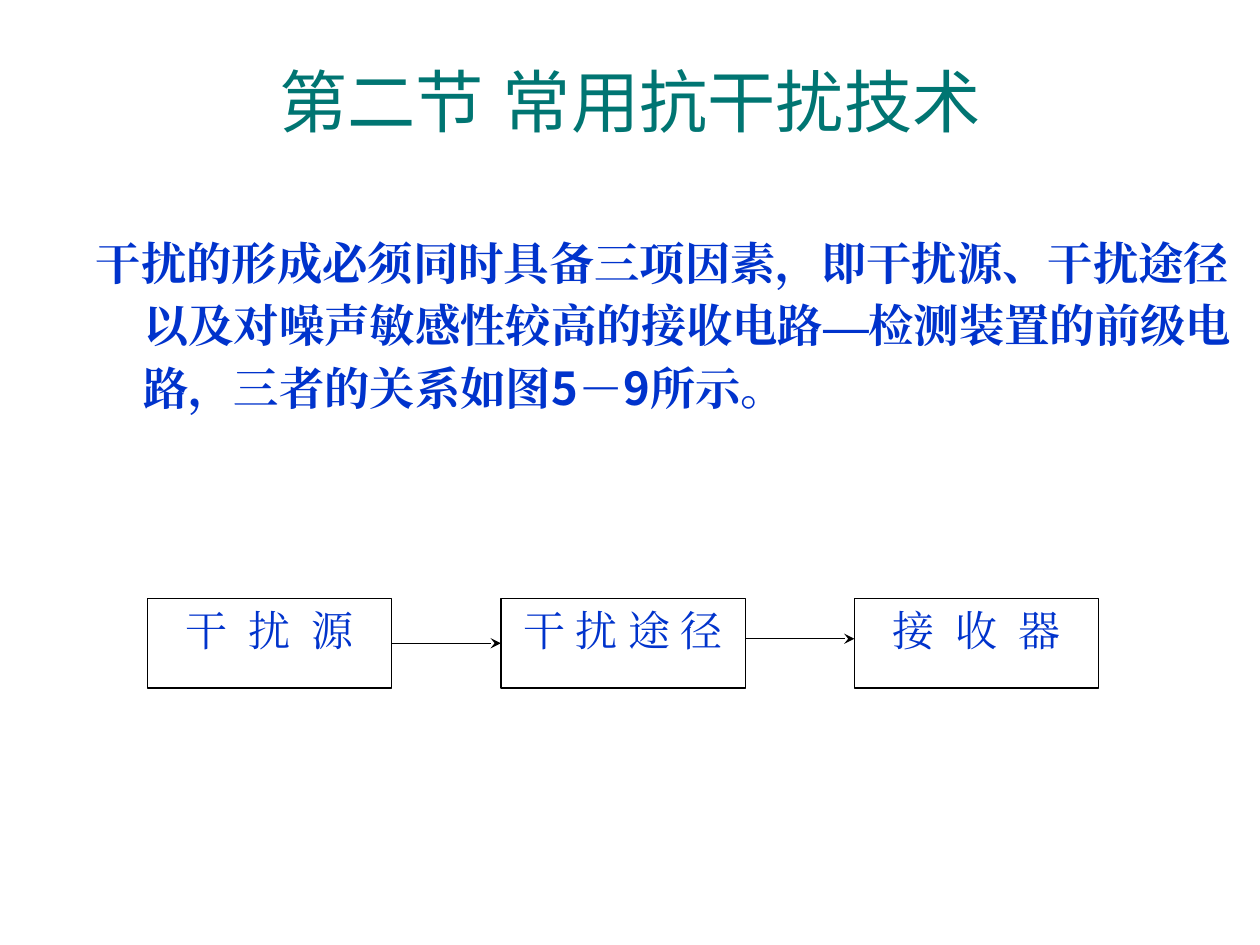
from lxml import etree
from pptx import Presentation
from pptx.dml.color import RGBColor
from pptx.enum.shapes import MSO_CONNECTOR, MSO_SHAPE
from pptx.enum.text import MSO_ANCHOR, MSO_AUTO_SIZE, PP_ALIGN
from pptx.oxml.ns import qn
from pptx.util import Pt

# Content
TITLE = "第二节 常用抗干扰技术"
BODY = ("干扰的形成必须同时具备三项因素，即干扰源、干扰途径以及对噪声敏感性较高的"
        "接收电路—检测装置的前级电路，三者的关系如图5－9所示。")
STAGES = ["干  扰  源", "干 扰 途 径", "接  收  器"]

# Style
TEAL = RGBColor(0x00, 0x75, 0x72)
BLUE = RGBColor(0x00, 0x33, 0xCC)
BLACK = RGBColor(0x00, 0x00, 0x00)
WHITE = RGBColor(0xFF, 0xFF, 0xFF)
CENTER, LEFT = PP_ALIGN.CENTER, PP_ALIGN.LEFT
TOP, MIDDLE = MSO_ANCHOR.TOP, MSO_ANCHOR.MIDDLE
NO_AUTOFIT = MSO_AUTO_SIZE.NONE
RECTANGLE, STRAIGHT = MSO_SHAPE.RECTANGLE, MSO_CONNECTOR.STRAIGHT
LEFT_SIDE, RIGHT_SIDE = 1, 3

# Flow diagram, in points
FLOW_LEFT, FLOW_TOP, FLOW_STEP = 84.24, 342, 202
BOX_WIDTH, BOX_HEIGHT = 139.68, 51.12
SECOND_ARROW_Y = 365


def place(shape, left, top, width, height):
    shape.left, shape.top = Pt(left), Pt(top)
    shape.width, shape.height = Pt(width), Pt(height)


def write(shape, text, size, color, latin, east_asian, align, anchor, bold=False):
    frame = shape.text_frame
    frame.text = text
    frame.word_wrap = True
    frame.auto_size = NO_AUTOFIT
    frame.vertical_anchor = anchor
    para = frame.paragraphs[0]
    para.alignment = align
    span = para.runs[0]
    span.font.size = Pt(size)
    span.font.bold = bold
    span.font.color.rgb = color
    span.font.name = latin
    properties = span._r.get_or_add_rPr()
    etree.SubElement(properties, qn("a:ea"), typeface=east_asian)
    return para


def add_arrow(page, start_x, end_x, y):
    arrow = page.shapes.add_connector(STRAIGHT, Pt(start_x), Pt(y), Pt(end_x), Pt(y))
    arrow.line.color.rgb = BLACK
    arrow.line.width = Pt(0.75)
    etree.SubElement(arrow.line._get_or_add_ln(), qn("a:tailEnd"), type="stealth")
    etree.SubElement(arrow._element.spPr, qn("a:effectLst"))
    return arrow


def main():
    deck = Presentation()
    deck.slide_width, deck.slide_height = Pt(720), Pt(540)
    page = deck.slides.add_slide(deck.slide_layouts[1])

    # Title
    title = page.shapes.title
    place(title, 36, 12.24, 648, 90)
    write(title, TITLE, 39, TEAL, "Arial", "Arial", CENTER, MIDDLE)

    # Body with a hanging indent and no bullet
    body = page.placeholders[1]
    place(body, 47.52, 126, 672.48, 306)
    para = write(body, BODY, 25.9, BLUE, "Noto Sans CJK SC", "Times New Roman",
                 LEFT, TOP, bold=True)
    para.line_spacing = 1.15
    para.space_before = Pt(7)
    properties = para._p.get_or_add_pPr()
    properties.set("marL", str(Pt(27)))
    properties.set("indent", str(-Pt(27)))
    etree.SubElement(properties, qn("a:buNone"))

    # Boxes of the flow
    boxes = []
    for index, stage in enumerate(STAGES):
        box = page.shapes.add_shape(RECTANGLE, Pt(FLOW_LEFT + index * FLOW_STEP),
                                    Pt(FLOW_TOP), Pt(BOX_WIDTH), Pt(BOX_HEIGHT))
        box.shadow.inherit = False
        box.fill.solid()
        box.fill.fore_color.rgb = WHITE
        box.line.color.rgb = BLACK
        box.line.width = Pt(0.75)
        write(box, stage, 24, BLUE, "Times New Roman", "Times New Roman", CENTER, TOP)
        boxes.append(box)

    # Arrows: the first joins the side middles, the second runs slightly higher
    first_start = FLOW_LEFT + BOX_WIDTH
    first_end = FLOW_LEFT + FLOW_STEP
    first = add_arrow(page, first_start, first_end, FLOW_TOP + BOX_HEIGHT / 2)
    first.begin_connect(boxes[0], RIGHT_SIDE)
    first.end_connect(boxes[1], LEFT_SIDE)
    add_arrow(page, first_start + FLOW_STEP, first_end + FLOW_STEP, SECOND_ARROW_Y)

    deck.save("out.pptx")


if __name__ == "__main__":
    main()
